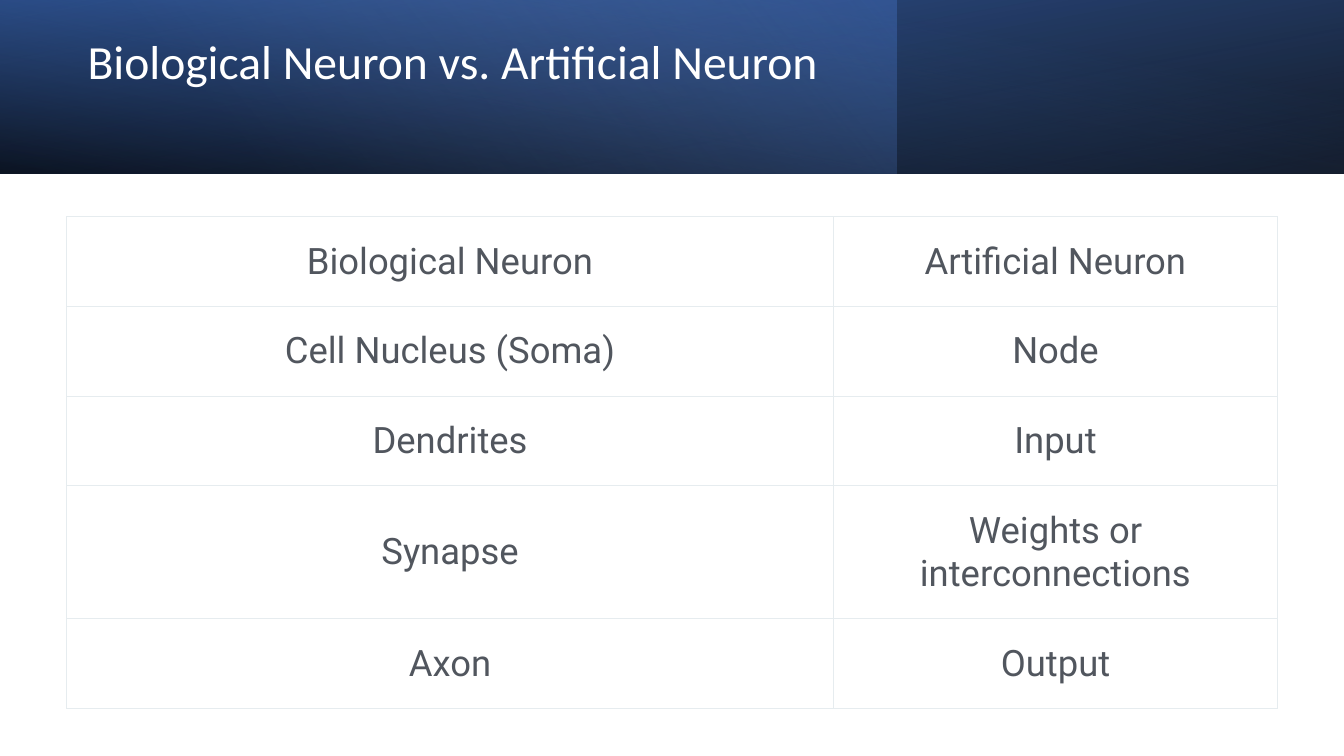
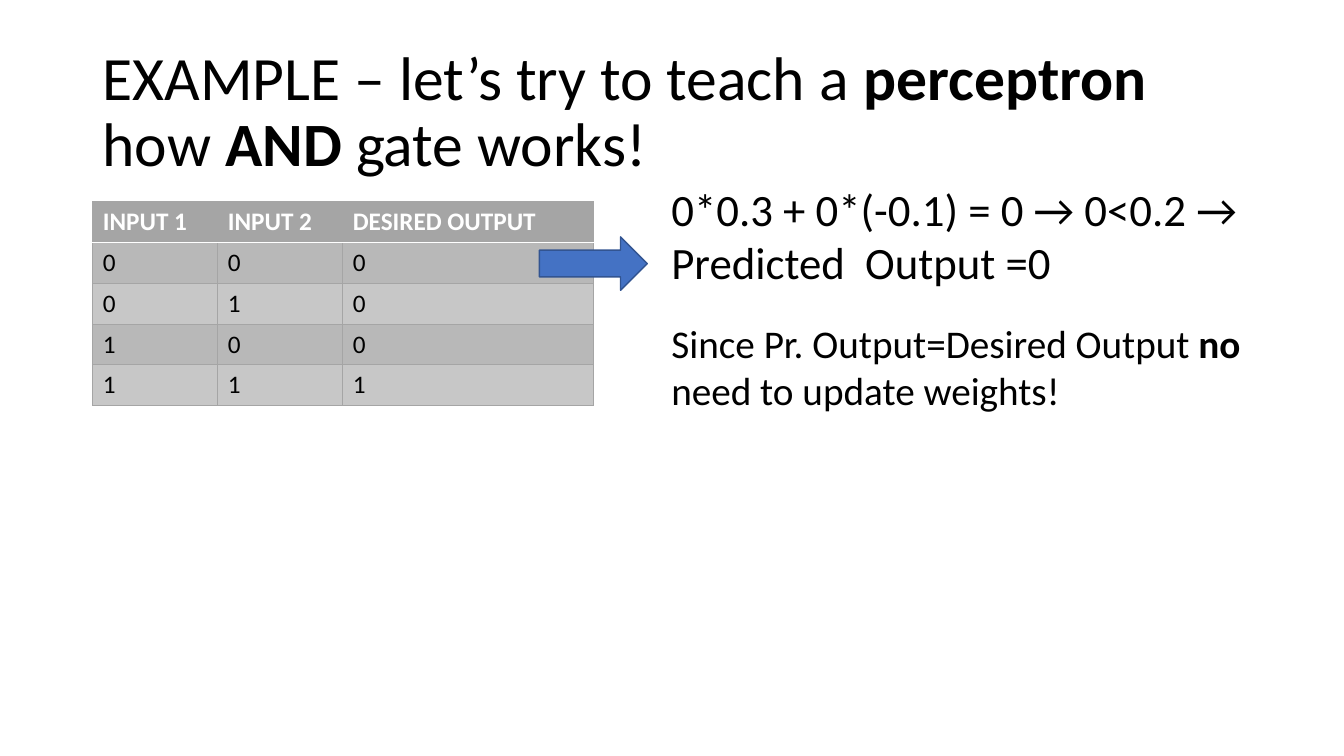
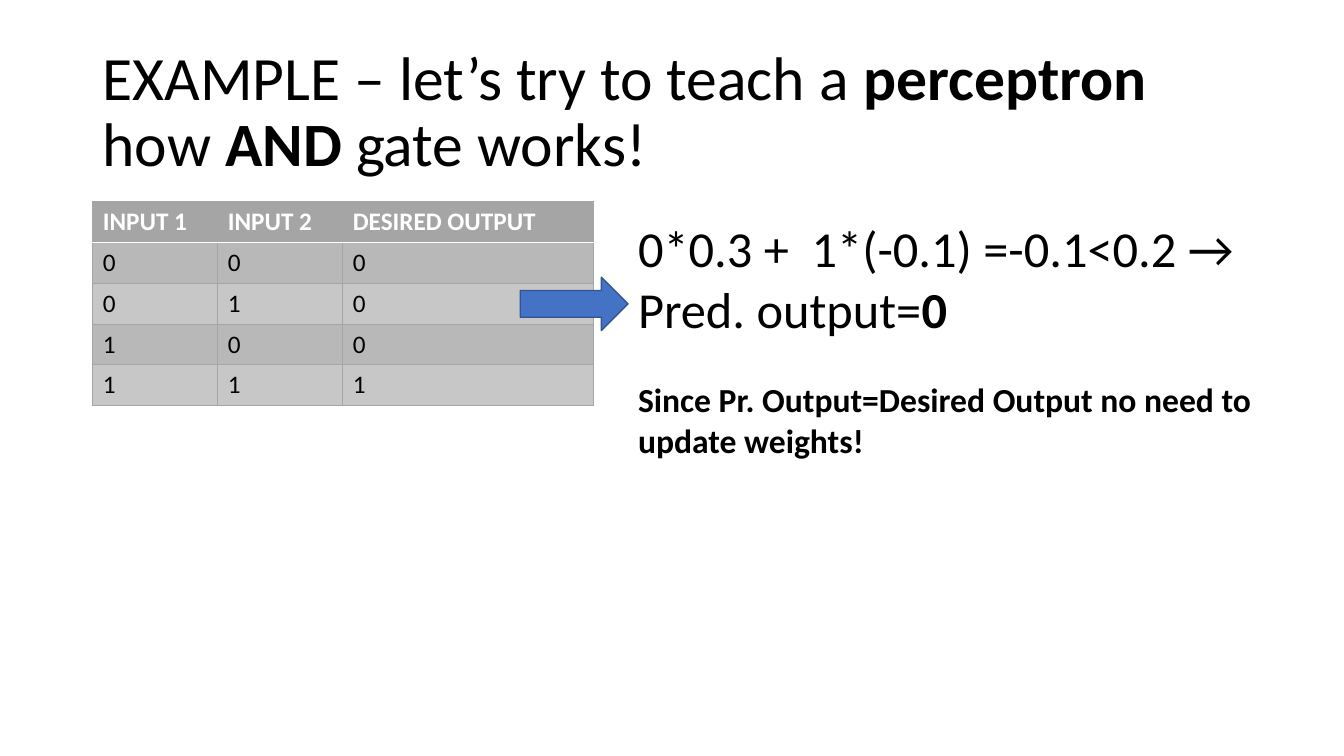
from dataclasses import dataclass

from lxml import etree
from pptx import Presentation
from pptx.dml.color import RGBColor
from pptx.enum.shapes import MSO_SHAPE as Shape
from pptx.enum.text import MSO_ANCHOR as Anchor, PP_ALIGN as Align
from pptx.oxml.ns import qn
from pptx.util import Inches, Pt


# Theme and descriptions of the repeated elements
@dataclass(frozen=True)
class Theme:
    font: str = "Calibri"
    table_font: str = "Roboto"
    white: str = "FFFFFF"
    black: str = "000000"
    blue: str = "4472C4"
    blue_dark: str = "2F5597"
    blue_light: str = "8FAADC"
    blue_edge: str = "325491"
    slate: str = "51565E"
    rule: str = "E6ECEF"
    gray: str = "A5A5A5"
    band_dark: str = "B8B8B8"
    band_light: str = "C7C7C7"
    banner_size: float = 34
    title_size: float = 44
    compare_size: float = 26
    gate_size: float = 18


T = Theme()


@dataclass(frozen=True)
class Box:
    left: float
    top: float
    width: float
    height: float

    def emu(self) -> tuple:
        return tuple(Inches(v) for v in (self.left, self.top, self.width, self.height))


@dataclass(frozen=True)
class Run:
    text: str
    bold: bool = False


@dataclass(frozen=True)
class Para:
    runs: tuple[Run, ...]
    size: float
    color: str = T.black
    font: str = T.font
    before: float = 0
    line: float = 1.0
    align: Align = Align.LEFT


@dataclass(frozen=True)
class Stop:
    pos: int
    color: str
    alpha: int = 100


@dataclass(frozen=True)
class Layer:
    width: float
    angle: int
    stops: tuple[Stop, ...]
    flip: bool = False
    rotation: int = 0


@dataclass(frozen=True)
class Edge:
    color: str
    width: float


@dataclass(frozen=True)
class CellStyle:
    size: float
    font: str
    color: str
    fill: str
    edges: dict[str, Edge]
    bold: bool = False
    align: Align = Align.LEFT
    anchor: Anchor = Anchor.TOP
    inset: tuple[float, float] = (0.1, 0.05)


@dataclass(frozen=True)
class GateStep:
    arrow: Box
    text: Box
    paras: tuple[Para, ...]


# Text
def write(tf, paras: tuple[Para, ...]) -> None:
    for i, para in enumerate(paras):
        p = tf.paragraphs[0] if i == 0 else tf.add_paragraph()
        p.alignment = para.align
        p.line_spacing = para.line
        p.space_before = Pt(para.before)
        for run in para.runs:
            r = p.add_run()
            r.text = run.text
            r.font.name = para.font
            r.font.size = Pt(para.size)
            r.font.bold = run.bold
            r.font.color.rgb = RGBColor.from_string(para.color)


def add_text(s, box: Box, paras: tuple[Para, ...], anchor: Anchor = Anchor.TOP,
             top_inset: float = 0.05) -> None:
    tf = s.shapes.add_textbox(*box.emu()).text_frame
    tf.word_wrap = True
    tf.vertical_anchor = anchor
    tf.margin_top = Inches(top_inset)
    write(tf, paras)


# Banner made of gradient layers
def add_color(parent, color: str, alpha: int = 100) -> None:
    clr = etree.SubElement(parent, qn("a:srgbClr"), val=color)
    if alpha < 100:
        etree.SubElement(clr, qn("a:alpha"), val=str(alpha * 1000))


def add_layer(s, layer: Layer, height: float) -> None:
    sp = s.shapes.add_shape(Shape.RECTANGLE, *Box(0, 0, layer.width, height).emu())
    sp.shadow.inherit = False
    sp.line.fill.background()
    sp.rotation = layer.rotation
    props = sp._element.spPr
    if layer.flip:
        props.find(qn("a:xfrm")).set("flipH", "1")
    grad = etree.Element(qn("a:gradFill"), rotWithShape="1")
    stops = etree.SubElement(grad, qn("a:gsLst"))
    for stop in layer.stops:
        gs = etree.SubElement(stops, qn("a:gs"), pos=str(stop.pos * 1000))
        add_color(gs, stop.color, stop.alpha)
    etree.SubElement(grad, qn("a:lin"), ang=str(layer.angle * 60000), scaled="0")
    props.find(qn("a:prstGeom")).addnext(grad)


# Tables
def style_cell(cell, text: str, st: CellStyle) -> None:
    props = cell._tc.get_or_add_tcPr()
    for side in "LRTB":
        edge = st.edges[side]
        ln = etree.SubElement(props, qn(f"a:ln{side}"), w=str(Pt(edge.width)))
        add_color(etree.SubElement(ln, qn("a:solidFill")), edge.color)
    cell.fill.solid()
    cell.fill.fore_color.rgb = RGBColor.from_string(st.fill)
    cell.vertical_anchor = st.anchor
    cell.margin_left = cell.margin_right = Inches(st.inset[0])
    cell.margin_top = cell.margin_bottom = Inches(st.inset[1])
    write(cell.text_frame, (Para((Run(text, st.bold),), st.size, st.color,
                                 st.font, align=st.align),))


def add_grid(s, box: Box, cols: tuple, heights: tuple, rows: tuple, styles: list) -> None:
    table = s.shapes.add_table(len(rows), len(cols), *box.emu()).table
    table.first_row = table.horz_banding = False
    for col, width in zip(table.columns, cols):
        col.width = Inches(width)
    for i, (row, height) in enumerate(zip(table.rows, heights)):
        row.height = Inches(height)
        for cell, text in zip(row.cells, rows[i]):
            style_cell(cell, text, styles[i])


# Slide 1: comparison
BANNER_HEIGHT = 1.72
LAYERS = (
    Layer(13.33, 100, (Stop(0, T.black, 96), Stop(100, T.blue_dark)), True, 180),
    Layer(8.89, 140, (Stop(0, T.blue, 41), Stop(74, T.blue_light, 0))),
    Layer(13.33, 260, (Stop(0, T.black, 63), Stop(78, T.blue, 15)), True),
)
NEURON_ROWS = (
    ("Biological Neuron", "Artificial Neuron"),
    ("Cell Nucleus (Soma)", "Node"),
    ("Dendrites", "Input"),
    ("Synapse", "Weights or interconnections"),
    ("Axon", "Output"),
)


def comparison_slide(s) -> None:
    for layer in LAYERS:
        add_layer(s, layer, BANNER_HEIGHT)
    title = Para((Run("Biological Neuron vs. Artificial Neuron"),),
                 T.banner_size, T.white, line=0.9)
    add_text(s, Box(0.77, 0.27, 7.72, 1.27), (title,), top_inset=0.11)
    style = CellStyle(T.compare_size, T.table_font, T.slate, T.white,
                      dict.fromkeys("LRTB", Edge(T.rule, 0.6)),
                      align=Align.CENTER, anchor=Anchor.MIDDLE, inset=(0.15, 0.19))
    add_grid(s, Box(0.66, 2.15, 12.01, 4.87), (7.61, 4.4),
             (0.89, 0.89, 0.89, 1.32, 0.89), NEURON_ROWS, [style] * len(NEURON_ROWS))


# Slides 2 and 3: steps of the AND gate example
GATE_TITLE = Para((Run("EXAMPLE – let’s try to teach a "), Run("perceptron", True),
                   Run(" how "), Run("AND", True), Run(" gate works!")),
                  T.title_size, line=0.9)
GATE_ROWS = (("INPUT 1", "INPUT 2", "DESIRED OUTPUT"),
             *((str(a), str(b), str(a & b)) for a in (0, 1) for b in (0, 1)))
STEPS = (
    GateStep(Box(5.35, 2.35, 1.07, 0.53), Box(6.56, 1.75, 5.85, 2.42), (
        Para((Run("0*0.3 + 0*(-0.1) = 0 → 0<0.2 → Predicted  Output =0"),), 32),
        Para((Run("Since Pr. Output=Desired Output "), Run("no", True),
              Run(" need to update weights!")), 28, before=22))),
    GateStep(Box(5.16, 2.75, 1.07, 0.53), Box(6.23, 2.11, 6.76, 3.74), (
        Para((Run("0*0.3 +  1*(-0.1) =-0.1<0.2 → Pred. output="), Run("0", True)), 36),
        Para((Run("Since Pr. Output=Desired Output no need to update weights!", True),),
             24, before=29))),
)


def gate_styles() -> list:
    thin, thick = Edge(T.gray, 0.5), Edge(T.white, 1)
    around = dict.fromkeys("LRTB", thin)
    styles = [CellStyle(T.gate_size, T.font, T.white, T.gray,
                        around | {"B": thick}, bold=True)]
    for i in range(1, len(GATE_ROWS)):
        styles.append(CellStyle(T.gate_size, T.font, T.black,
                                T.band_dark if i % 2 else T.band_light,
                                around | {"T": thick} if i == 1 else around))
    return styles


def gate_slide(s, step: GateStep) -> None:
    add_text(s, Box(0.92, 0.4, 11.5, 1.45), (GATE_TITLE,), Anchor.MIDDLE)
    add_grid(s, Box(0.92, 2, 4.97, 2.03), (1.24, 1.24, 2.49),
             (0.405,) * len(GATE_ROWS), GATE_ROWS, gate_styles())
    sp = s.shapes.add_shape(Shape.RIGHT_ARROW, *step.arrow.emu())
    sp.shadow.inherit = False
    sp.fill.solid()
    sp.fill.fore_color.rgb = RGBColor.from_string(T.blue)
    sp.line.color.rgb = RGBColor.from_string(T.blue_edge)
    sp.line.width = Pt(1)
    add_text(s, step.text, step.paras)


def main() -> None:
    prs = Presentation()
    prs.slide_width, prs.slide_height = Inches(13.33), Inches(7.5)
    blank = prs.slide_layouts[6]
    comparison_slide(prs.slides.add_slide(blank))
    for step in STEPS:
        gate_slide(prs.slides.add_slide(blank), step)
    prs.save("out.pptx")


if __name__ == "__main__":
    main()
